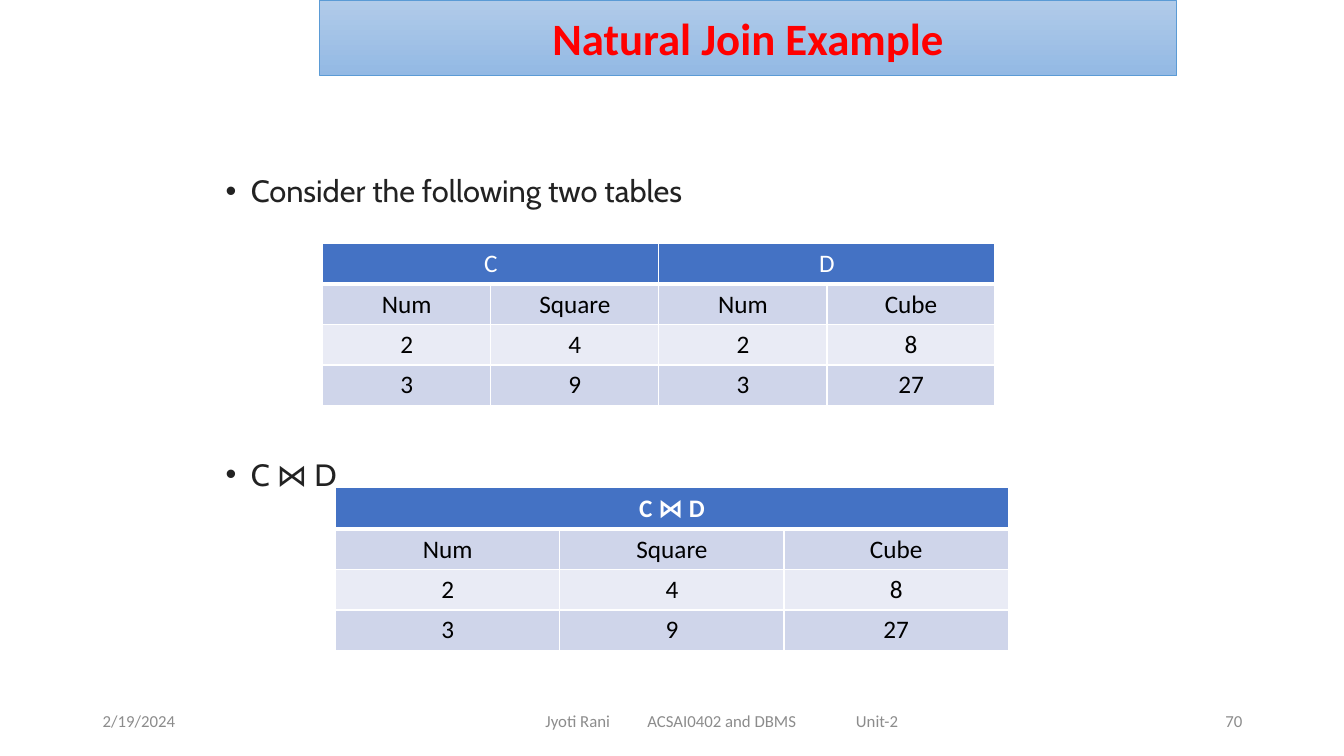
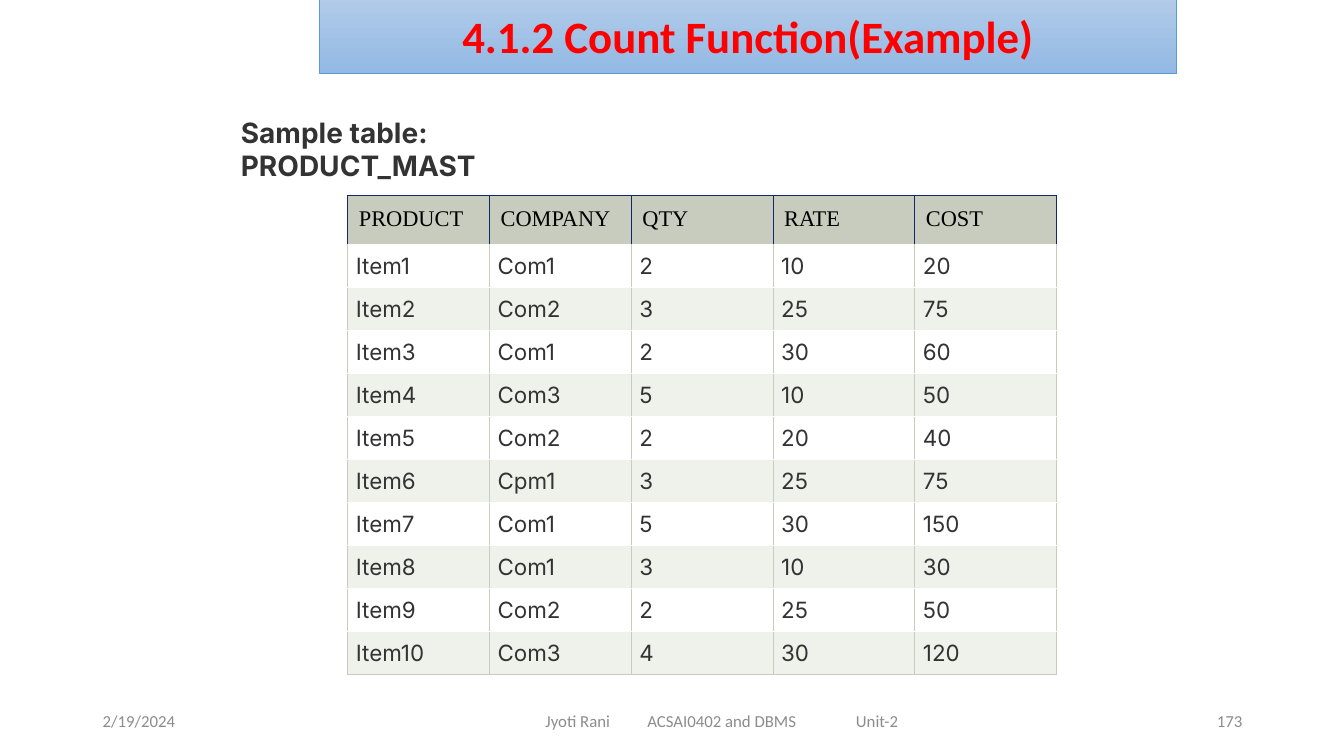
"""Build two database slides: a natural join and a count function example."""
from lxml import etree
from pptx import Presentation
from pptx.dml.color import RGBColor as RGB
from pptx.enum.text import MSO_ANCHOR as Anchor, MSO_AUTO_SIZE as Fit, PP_ALIGN as Align
from pptx.oxml.ns import qn
from pptx.util import Inches, Pt

WHITE = RGB(0xFF, 0xFF, 0xFF)
BLACK = RGB(0, 0, 0)
RED = RGB(0xFF, 0, 0)
GRAY = RGB(0x8C, 0x8C, 0x8C)
INK = RGB(0x22, 0x22, 0x22)
DARK = RGB(0x33, 0x33, 0x33)
SKY = RGB(0xB1, 0xCB, 0xE9)
AZURE = RGB(0x93, 0xB9, 0xE4)
EDGE = RGB(0x5B, 0x9B, 0xD5)
BLUE = RGB(0x44, 0x72, 0xC4)
BAND = RGB(0xCF, 0xD5, 0xEA)
PALE = RGB(0xE9, 0xEB, 0xF5)
SAGE = RGB(0xC7, 0xCC, 0xBE)
MIST = RGB(0xEF, 0xF1, 0xEB)
NAVY = RGB(0x10, 0x28, 0x70)

DATE = "2/19/2024"
FOOTER = "Jyoti Rani\tACSAI0402 and DBMS\tUnit-2"
FOOT_TABS = (1.01, 3.08)
POINTS = ["Consider the following two tables", "C ⋈ D"]
PAIR = [
    ("C", "D"),
    ("Num", "Square", "Num", "Cube"),
    ("2", "4", "2", "8"),
    ("3", "9", "3", "27"),
]
JOIN = [
    ("C ⋈ D",),
    ("Num", "Square", "Cube"),
    ("2", "4", "8"),
    ("3", "9", "27"),
]
SAMPLE = ["Sample table:", "PRODUCT_MAST"]
GOODS = [
    ("PRODUCT", "COMPANY", "QTY", "RATE", "COST"),
    ("Item1", "Com1", "2", "10", "20"),
    ("Item2", "Com2", "3", "25", "75"),
    ("Item3", "Com1", "2", "30", "60"),
    ("Item4", "Com3", "5", "10", "50"),
    ("Item5", "Com2", "2", "20", "40"),
    ("Item6", "Cpm1", "3", "25", "75"),
    ("Item7", "Com1", "5", "30", "150"),
    ("Item8", "Com1", "3", "10", "30"),
    ("Item9", "Com2", "2", "25", "50"),
    ("Item10", "Com3", "4", "30", "120"),
]

BODY = dict(font="Calibri", size=18, color=BLACK, align=Align.CENTER)
HEAD = dict(BODY, color=WHITE)
JOIN_LOOK = dict(
    head=HEAD, body=BODY, fills=(BLUE, BAND, PALE), pads=(None, None),
    lines={"L": (WHITE, 1), "R": (WHITE, 1), "T": (WHITE, 1), "B": (WHITE, 3)},
    grid=(WHITE, 1), anchor=Anchor.MIDDLE,
)
GOODS_LOOK = dict(
    head=dict(font="Times New Roman", size=16, color=BLACK),
    body=dict(font="Inter", size=16, color=DARK, align=Align.JUSTIFY),
    fills=(SAGE, WHITE, MIST), pads=(0.11, 0.08),
    lines={"L": (NAVY, 0.75), "R": (NAVY, 0.75), "T": (NAVY, 0.75), "B": (SAGE, 0.75)},
    grid=(SAGE, 0.75), anchor=Anchor.TOP,
)


def write(para, text, font, size, color, bold=False, align=Align.LEFT):
    """Add one styled run to a paragraph."""
    para.alignment = align
    run = para.add_run()
    run.text = text
    face = run.font
    face.name, face.size, face.bold = font, Pt(size), bold
    face.color.rgb = color


def add_box(slide, at, lines, anchor=Anchor.MIDDLE, **style):
    """Add a wrapped text box with one paragraph per line."""
    box = slide.shapes.add_textbox(*map(Inches, at))
    frame = box.text_frame
    frame.word_wrap = True
    frame.vertical_anchor = anchor
    for i, line in enumerate(lines):
        para = frame.add_paragraph() if i else frame.paragraphs[0]
        write(para, line, **style)
    return box


def add_tabs(para, stops):
    """Set left tab stops on a paragraph."""
    tabs = etree.SubElement(para._p.get_or_add_pPr(), qn("a:tabLst"))
    for stop in stops:
        etree.SubElement(tabs, qn("a:tab"), pos=str(Inches(stop)), algn="l")


def add_bullet(para):
    """Give a paragraph a hanging round bullet."""
    props = para._p.get_or_add_pPr()
    props.set("marL", str(Inches(0.25)))
    props.set("indent", str(-Inches(0.25)))
    etree.SubElement(props, qn("a:buFont"), typeface="Arial")
    etree.SubElement(props, qn("a:buChar"), char="•")


def add_edge(cell, side, color, width):
    """Draw one border of a table cell."""
    line = etree.SubElement(cell._tc.get_or_add_tcPr(), qn("a:ln" + side), w=str(Pt(width)))
    fill = etree.SubElement(line, qn("a:solidFill"))
    etree.SubElement(fill, qn("a:srgbClr"), val=str(color))


def add_grid(slide, at, rows, heights, look):
    """Add a table whose header cells share the columns evenly."""
    count = len(rows[-1])
    left, top, width = map(Inches, at)
    first, rest = map(Inches, heights)
    total = first + rest * (len(rows) - 1)
    table = slide.shapes.add_table(len(rows), count, left, top, width, total).table
    for r, row in enumerate(rows):
        table.rows[r].height = rest if r else first
        style = look["body"] if r else look["head"]
        fill = look["fills"][2 - r % 2 if r else 0]
        pad = look["pads"][min(r, 1)]
        span = count // len(row)
        for c in range(count):
            cell = table.cell(r, c)
            for side in "LRB" if r else "LRTB":
                add_edge(cell, side, *(look["grid"] if r else look["lines"][side]))
            cell.fill.solid()
            cell.fill.fore_color.rgb = fill
            cell.vertical_anchor = look["anchor"]
            if pad:
                cell.margin_left = cell.margin_right = Inches(pad)
                cell.margin_top = cell.margin_bottom = Inches(pad)
            if c % span == 0:
                if span > 1:
                    cell.merge(table.cell(r, c + span - 1))
                write(cell.text_frame.paragraphs[0], row[c // span], **style)
    return table


def add_slide(deck, title, number, top=0):
    """Add a slide with its title band and footer."""
    slide = deck.slides.add_slide(deck.slide_layouts[5])
    band = slide.shapes.title
    band.left, band.top, band.width, band.height = map(Inches, (3.17, top, 8.5, 0.75))
    band.fill.gradient()
    band.fill.gradient_angle = 270
    for stop, color in zip(band.fill.gradient_stops, (SKY, AZURE)):
        stop.color.rgb = color
    band.line.color.rgb = EDGE
    band.line.width = Pt(0.5)
    frame = band.text_frame
    frame.auto_size = Fit.NONE
    frame.vertical_anchor = Anchor.MIDDLE
    write(frame.paragraphs[0], title, "Calibri", 32, RED, True, Align.CENTER)

    note = dict(font="Calibri", size=12, color=GRAY)
    add_box(slide, (0.92, 6.95, 3, 0.4), [DATE], **note)
    foot = add_box(slide, (4.42, 6.95, 5.5, 0.4), [FOOTER], **note).text_frame
    foot.margin_left = Inches(0.99)
    add_tabs(foot.paragraphs[0], FOOT_TABS)
    add_box(slide, (9.42, 6.95, 3, 0.4), [number], align=Align.RIGHT, **note)
    return slide


def add_join(deck):
    """Add the natural join slide."""
    slide = add_slide(deck, "Natural Join Example", "70")
    box = add_box(slide, (2.14, 1.7, 9, 4.95), POINTS, Anchor.TOP,
                  font="Cabin", size=22, color=INK, align=Align.JUSTIFY)
    first, last = box.text_frame.paragraphs
    for para in (first, last):
        para.line_spacing = 0.9
    last.space_before = Pt(178.5)
    for para in (first, last):
        add_bullet(para)
    add_grid(slide, (3.2, 2.41, 6.67), PAIR, (0.41, 0.4), JOIN_LOOK)
    bold = dict(JOIN_LOOK, head=dict(HEAD, bold=True))
    add_grid(slide, (3.33, 4.84, 6.67), JOIN, (0.41, 0.4), bold)


def add_count(deck):
    """Add the count function slide."""
    slide = add_slide(deck, "4.1.2 Count Function(Example)", "173", -0.02)
    add_grid(slide, (3.45, 1.94, 7.03), GOODS, (0.46, 0.42), GOODS_LOOK)
    box = add_box(slide, (2.29, 1.09, 3.25, 0.77), SAMPLE,
                  font="Inter", size=20, color=DARK, bold=True)
    box.fill.solid()
    box.fill.fore_color.rgb = WHITE


def main():
    """Build and save the deck."""
    deck = Presentation()
    deck.slide_width, deck.slide_height = Inches(13.33), Inches(7.5)
    add_join(deck)
    add_count(deck)
    deck.save("out.pptx")


if __name__ == "__main__":
    main()
